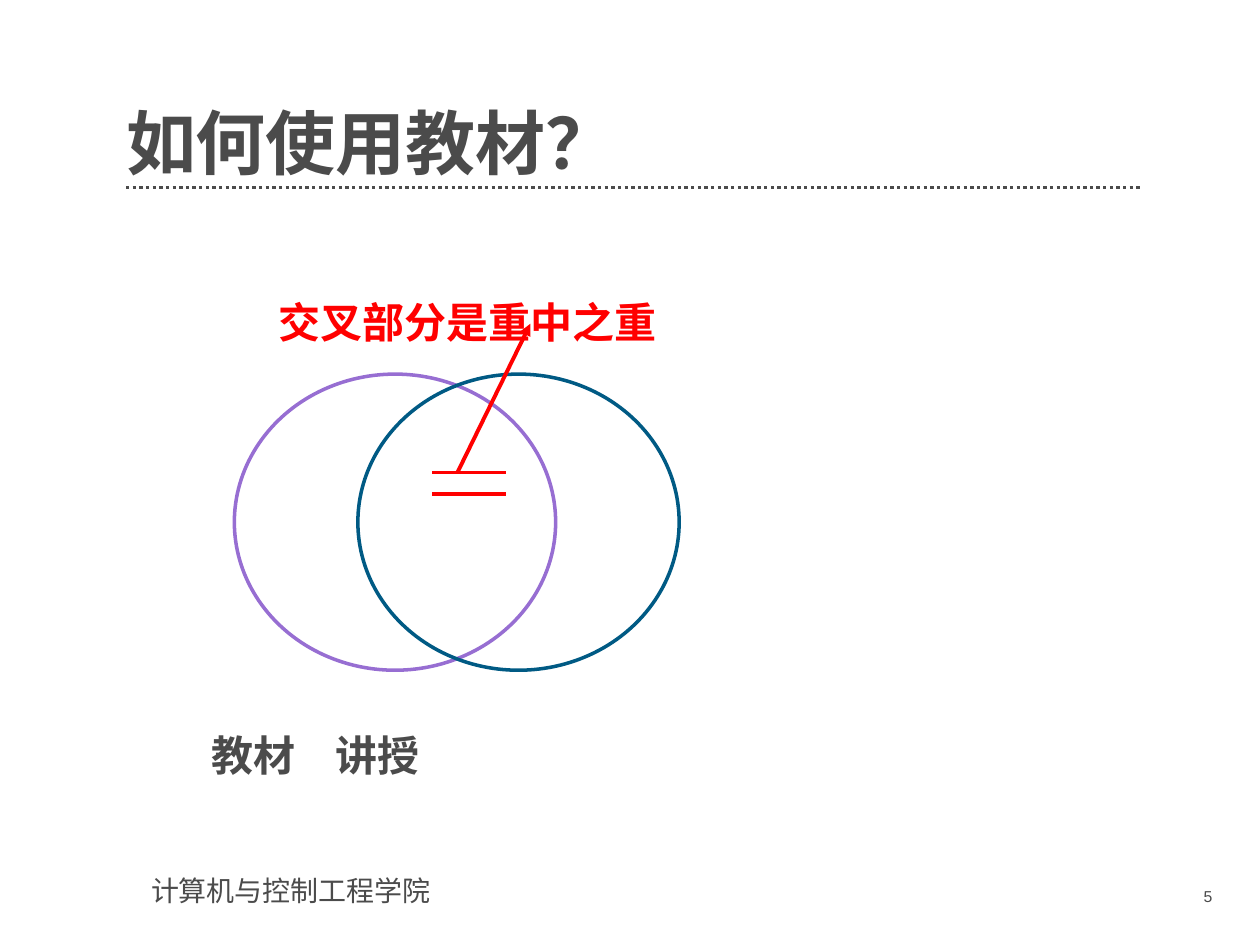
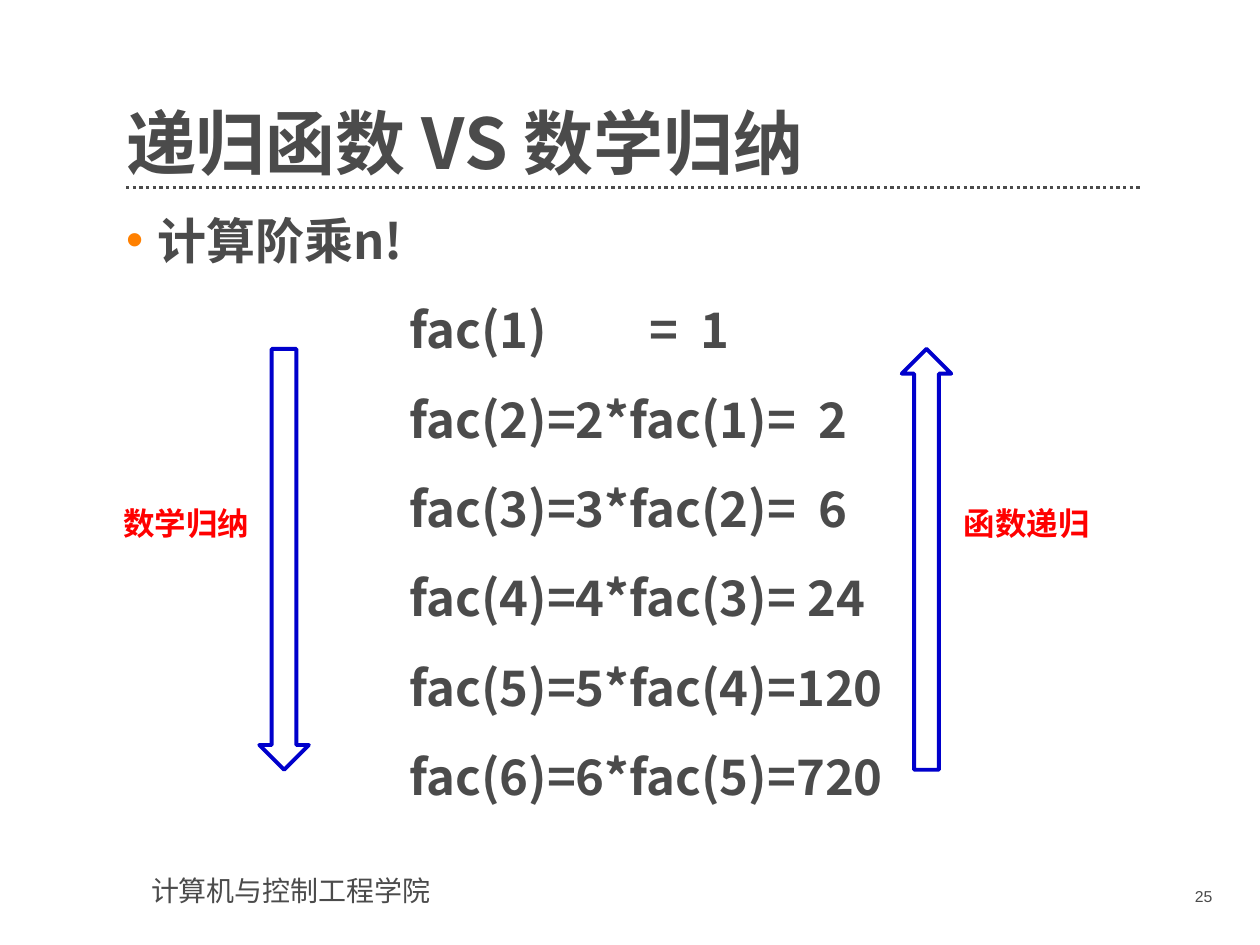
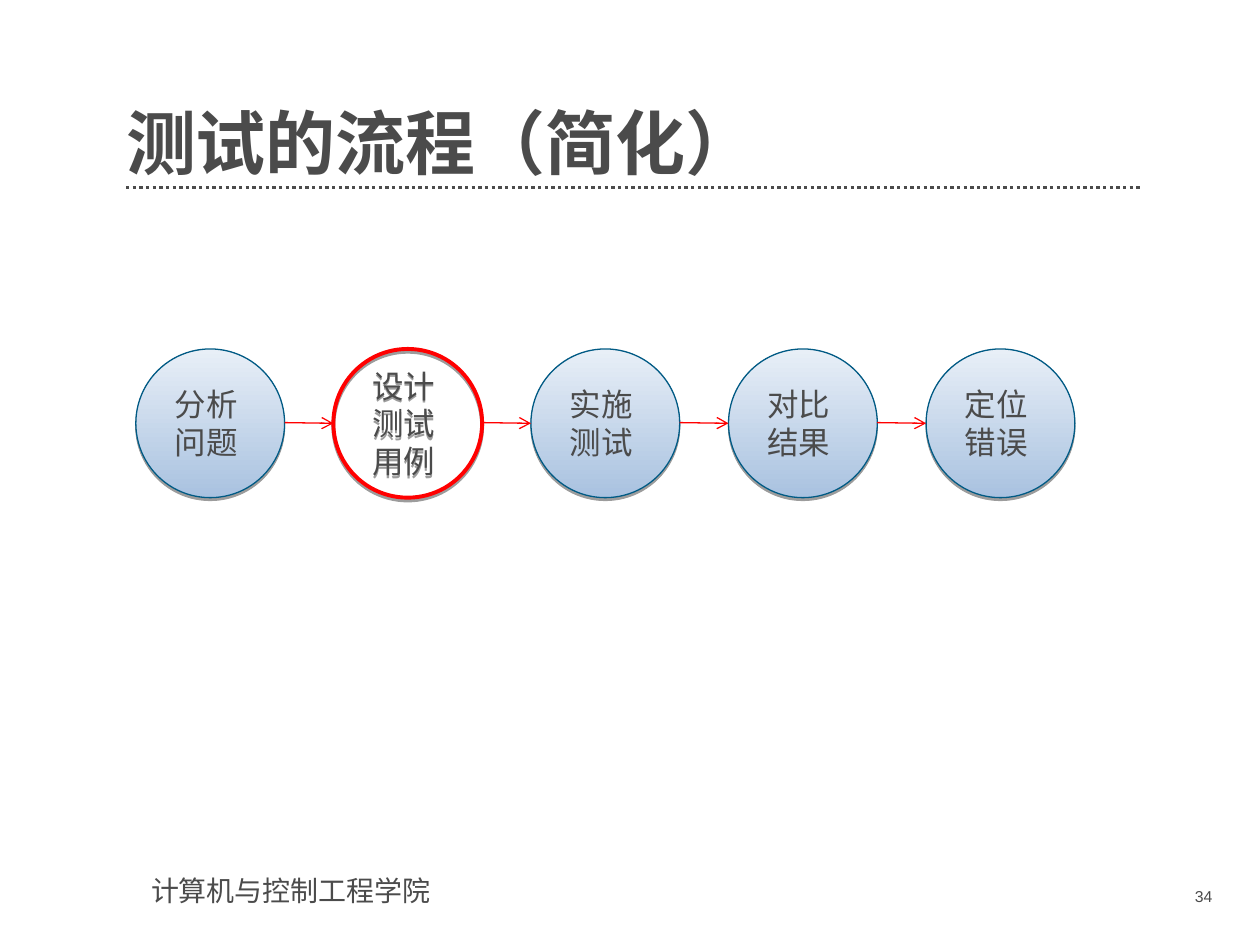
from lxml.etree import SubElement
from pptx import Presentation
from pptx.dml.color import RGBColor
from pptx.enum.dml import MSO_LINE
from pptx.enum.shapes import MSO_CONNECTOR, MSO_SHAPE
from pptx.enum.text import MSO_ANCHOR, MSO_AUTO_SIZE, PP_ALIGN
from pptx.oxml.ns import qn
from pptx.util import Pt

GREY = RGBColor(0x4B, 0x4B, 0x4B)
RED = RGBColor(0xFF, 0x00, 0x00)
PURPLE = RGBColor(0x97, 0x6E, 0xD2)
TEAL = RGBColor(0x00, 0x5A, 0x84)
BLUE = RGBColor(0x00, 0x00, 0xCC)
ORANGE = RGBColor(0xFF, 0x80, 0x00)
WHITE = RGBColor(0xFF, 0xFF, 0xFF)
GRADIENT = (RGBColor(0xA9, 0xC2, 0xE0), RGBColor(0xE8, 0xEF, 0xF7))

LATIN_FONT = "Arial"
CHINESE_FONT = "Noto Sans CJK SC"
LEFT = 72
WIDTH = 580.3
SCHOOL = "计算机与控制工程学院"


def place(shape, left, top, width, height):
    shape.left, shape.top = Pt(left), Pt(top)
    shape.width, shape.height = Pt(width), Pt(height)


def set_frame(shape, margins, anchor=MSO_ANCHOR.TOP):
    frame = shape.text_frame
    frame.word_wrap = True
    frame.auto_size = MSO_AUTO_SIZE.NONE
    frame.vertical_anchor = anchor
    frame.margin_left, frame.margin_top, frame.margin_right, frame.margin_bottom = map(Pt, margins)
    return frame


def add_span(para, text, size, color, font, bold, spacing=0):
    span = para.add_run()
    span.text = text
    span.font.size = Pt(size)
    span.font.bold = bold
    span.font.name = font
    span.font.color.rgb = color
    SubElement(span.font._element, qn("a:ea"), typeface=CHINESE_FONT)
    if spacing:
        span.font._element.set("spc", str(round(spacing * 100)))


def write(para, text, size, color=GREY, font=LATIN_FONT, bold=False,
          align=PP_ALIGN.LEFT, leading=1.2, gaps=()):
    para.alignment = align
    para.line_spacing = Pt(round(size * leading, 2))
    para.space_before = Pt(0)
    style = (size, color, font, bold)
    words = text.split(" ", len(gaps))
    add_span(para, words[0], *style)
    for gap, word in zip(gaps, words[1:]):
        add_span(para, " ", *style, spacing=gap)
        add_span(para, word, *style)


def set_indent(para, left, first_line=0):
    properties = para._p.get_or_add_pPr()
    properties.set("marL", str(Pt(left)))
    properties.set("indent", str(Pt(first_line)))
    return properties


def set_bullet(para):
    properties = set_indent(para, 18, -18)
    color = SubElement(properties, qn("a:buClr"))
    SubElement(color, qn("a:srgbClr"), val=str(ORANGE))
    SubElement(properties, qn("a:buFont"), typeface=LATIN_FONT)
    SubElement(properties, qn("a:buChar"), char="•")


def set_plain(para, left):
    SubElement(set_indent(para, left), qn("a:buNone"))


def add_text(page, text, left, top, width, height, size, **style):
    box = page.shapes.add_textbox(Pt(left), Pt(top), Pt(width), Pt(height))
    frame = set_frame(box, (7.2, 3.6, 7.2, 3.6))
    write(frame.paragraphs[0], text, size, **style)


def add_line(page, start, end, color, weight, head=None):
    line = page.shapes.add_connector(MSO_CONNECTOR.STRAIGHT, *map(Pt, start + end))
    line.line.color.rgb = color
    line.line.width = Pt(weight)
    if head:
        SubElement(line.line._get_or_add_ln(), qn("a:tailEnd"), type=head)
    SubElement(line._element.spPr, qn("a:effectLst"))
    return line


def add_outline(page, kind, left, top, width, height, color, weight, fill=None):
    shape = page.shapes.add_shape(kind, Pt(left), Pt(top), Pt(width), Pt(height))
    shape.shadow.inherit = False
    if fill:
        shape.fill.solid()
        shape.fill.fore_color.rgb = fill
    else:
        shape.fill.background()
    shape.line.color.rgb = color
    shape.line.width = Pt(weight)
    return shape


def add_page(deck, layout, title, number):
    page = deck.slides.add_slide(deck.slide_layouts.get_by_name(layout))
    place(page.shapes.title, LEFT, 39.6, WIDTH, 65.5)
    frame = set_frame(page.shapes.title, (0, 0, 0, 0), MSO_ANCHOR.BOTTOM)
    write(frame.paragraphs[0], title, 40, font=CHINESE_FONT, bold=True, leading=1.08)
    rule = add_line(page, (LEFT, 107.3), (LEFT + WIDTH, 107.3), GREY, 1.9)
    rule.line.dash_style = MSO_LINE.ROUND_DOT
    add_text(page, SCHOOL, 79.2, 495.4, 181.4, 26.6, 16)
    add_text(page, number, 628.6, 503.3, 71.3, 20.9, 9, align=PP_ALIGN.RIGHT)
    return page


def get_body(page, top_margin=0):
    body = page.placeholders[1]
    place(body, LEFT, 120.2, WIDTH, 360)
    return set_frame(body, (0, top_margin, 14.4, 0))


def write_body(para, text, size, color=GREY, gaps=()):
    write(para, text, size, color, font=CHINESE_FONT, bold=True, gaps=gaps)


def add_textbook_page(deck):
    page = add_page(deck, "Title and Content", "如何使用教材？", "5")
    frame = get_body(page, 49)
    note = frame.paragraphs[0]
    set_plain(note, 87.4)
    write_body(note, "交叉部分是重中之重", 24, RED)
    labels = frame.add_paragraph()
    set_plain(labels, 49)
    write_body(labels, "教材 讲授", 24, gaps=[17])
    labels.space_before = Pt(219)
    for left, color, fill in ((133.9, PURPLE, WHITE), (204.5, TEAL, None)):
        add_outline(page, MSO_SHAPE.OVAL, left, 213.8, 183.6, 169.2, color, 2, fill)
    add_line(page, (261.4, 270), (303.1, 185), RED, 2.25, "triangle")
    for top in (270, 282.2):
        add_line(page, (247, top), (289.4, top), RED, 2.25)


def add_recursion_page(deck):
    page = add_page(deck, "Title and Content", "递归函数 VS 数学归纳", "25")
    frame = get_body(page)
    heading = frame.paragraphs[0]
    set_bullet(heading)
    write_body(heading, "计算阶乘n!", 28)
    rows = [
        ("fac(1) = 1", [52, 6.5]),
        ("fac(2)=2*fac(1)= 2", [6.5]),
        ("fac(3)=3*fac(2)= 6", [6.5]),
        ("fac(4)=4*fac(3)= 24", []),
        ("fac(5)=5*fac(4)=120", []),
        ("fac(6)=6*fac(5)=720", []),
    ]
    for text, gaps in rows:
        para = frame.add_paragraph()
        set_plain(para, 162)
        write_body(para, text, 28, gaps=gaps)
        para.space_before = Pt(17.5)
    directions = [
        (MSO_SHAPE.DOWN_ARROW, 148.2, "数学归纳", 63.4),
        (MSO_SHAPE.UP_ARROW, 515.3, "函数递归", 543.6),
    ]
    for kind, arrow_left, label, label_left in directions:
        add_outline(page, kind, arrow_left, 199.4, 28.3, 240.5, BLUE, 2.25)
        add_text(page, label, label_left, 284.4, 98.6, 28.8, 18, color=RED, bold=True)


def add_step(page, text, left, top, size, current):
    color, weight = (RED, 2.25) if current else (TEAL, 0.75)
    step = add_outline(page, MSO_SHAPE.OVAL, left, top, size, size, color, weight)
    if not current:
        step.fill.gradient()
        step.fill.gradient_angle = 90
        for stop, shade in zip(step.fill.gradient_stops, GRADIENT):
            stop.color.rgb = shade
    effects = step._element.spPr.find(qn("a:effectLst"))
    shadow = SubElement(effects, qn("a:outerShdw"), blurRad="0", dist=str(Pt(1.6)),
                        dir="5400000", rotWithShape="0")
    black = SubElement(shadow, qn("a:srgbClr"), val="000000")
    SubElement(black, qn("a:alpha"), val="38000")
    frame = set_frame(step, (0, 0, 14.4, 0), MSO_ANCHOR.MIDDLE)
    write(frame.paragraphs[0], text, 18, align=PP_ALIGN.RIGHT)


def add_testing_page(deck):
    page = add_page(deck, "Title Only", "测试的流程（简化）", "34")
    steps = ["分析问题", "设计测试用例", "实施测试", "对比结果", "定位错误"]
    first, top, size, pitch = 77.6, 199.4, 85, 112.9
    middle = top + size / 2
    for index, text in enumerate(steps):
        add_step(page, text, first + index * pitch, top, size, current=index == 1)
    for index in range(len(steps) - 1):
        left = first + index * pitch
        add_line(page, (left + size, middle - 0.4), (left + pitch, middle), RED, 0.75, "arrow")


def main():
    deck = Presentation()
    deck.slide_width, deck.slide_height = Pt(720), Pt(540)
    add_textbook_page(deck)
    add_recursion_page(deck)
    add_testing_page(deck)
    deck.save("out.pptx")


if __name__ == "__main__":
    main()
